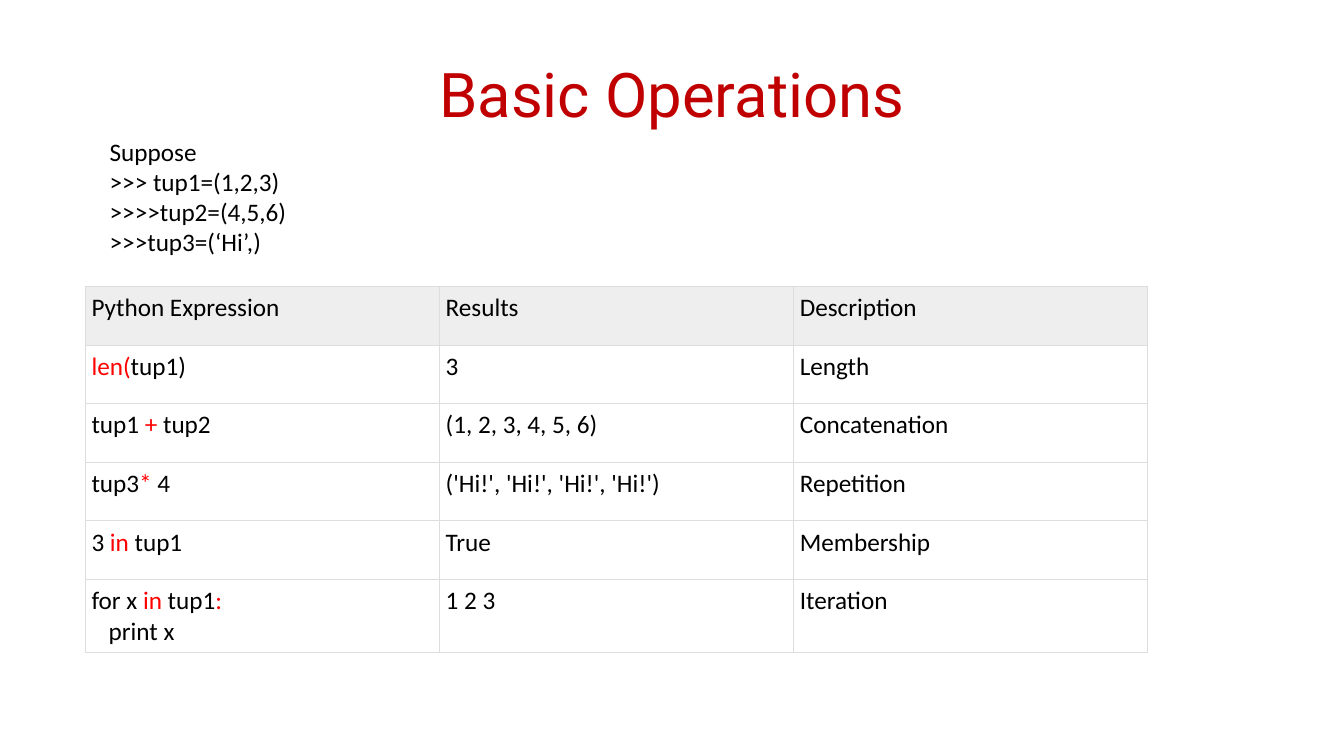
from lxml import etree
from pptx import Presentation
from pptx import util as u
from pptx.dml import color
from pptx.enum import text
from pptx.oxml import ns

COLORS = {
    "title": "C00000",
    "body": "000000",
    "keyword": "FF0000",
    "header": "EEEEEE",
    "border": "DDDDDD",
}

SETUP = ["Suppose", ">>> tup1=(1,2,3)", ">>>>tup2=(4,5,6)", ">>>tup3=(‘Hi’,)"]

OPERATIONS = [
    ("Python Expression", "Results", "Description"),
    ("|len(|tup1)", "3", "Length"),
    ("tup1 |+| tup2", "(1, 2, 3, 4, 5, 6)", "Concatenation"),
    ("tup3|*| 4", "('Hi!', 'Hi!', 'Hi!', 'Hi!')", "Repetition"),
    ("3 |in| tup1", "True", "Membership"),
    ("for x |in| tup1|:|\n\tprint x", "1 2 3", "Iteration"),
]


def rgb(name):
    return color.RGBColor.from_string(COLORS[name])


def write(frame, content, font="Calibri", size=18, ink="body", align=text.PP_ALIGN.LEFT):
    """Lines split at newlines; a leading tab indents; bars enclose keywords."""
    for index, line in enumerate(content.split("\n")):
        paragraph = frame.add_paragraph() if index else frame.paragraphs[0]
        paragraph.alignment = align
        if line.startswith("\t"):
            paragraph._p.get_or_add_pPr().set("marL", str(u.Pt(12.25)))
        for position, part in enumerate(line.lstrip("\t").split("|")):
            if part:
                run = paragraph.add_run()
                run.text = part
                run.font.name = font
                run.font.size = u.Pt(size)
                run.font.color.rgb = rgb("keyword" if position % 2 else ink)


class SlideBuilder:
    def __init__(self, presentation):
        self.slide = presentation.slides.add_slide(presentation.slide_layouts[6])
        self.border_width = 0.5
        self.cell_margin = 4.5

    def add_text(self, bounds, content, anchor=text.MSO_ANCHOR.TOP, **style):
        shape = self.slide.shapes.add_textbox(*map(u.Pt, bounds))
        frame = shape.text_frame
        frame.word_wrap = True
        frame.vertical_anchor = anchor
        write(frame, content, **style)

    def add_table(self, bounds, rows, row_heights):
        shape = self.slide.shapes.add_table(len(rows), len(rows[0]), *map(u.Pt, bounds))
        table = shape.table
        table.first_row = table.horz_banding = False
        for row, height in zip(table.rows, row_heights):
            row.height = u.Pt(height)
        for row_index, values in enumerate(rows):
            for column_index, value in enumerate(values):
                self.fill_cell(table.cell(row_index, column_index), value, row_index == 0)

    def fill_cell(self, cell, content, is_header):
        margin = u.Pt(self.cell_margin)
        cell.margin_left = cell.margin_right = margin
        cell.margin_top = cell.margin_bottom = margin
        self.add_borders(cell)
        if is_header:
            cell.fill.solid()
            cell.fill.fore_color.rgb = rgb("header")
        else:
            cell.fill.background()
        write(cell.text_frame, content)

    def add_borders(self, cell):
        properties = cell._tc.get_or_add_tcPr()
        for side in ("a:lnL", "a:lnR", "a:lnT", "a:lnB"):
            line = etree.SubElement(properties, ns.qn(side), w=str(u.Pt(self.border_width)))
            fill = etree.SubElement(line, ns.qn("a:solidFill"))
            etree.SubElement(fill, ns.qn("a:srgbClr"), val=COLORS["border"])


def main():
    presentation = Presentation()
    presentation.slide_width = u.Pt(960)
    presentation.slide_height = u.Pt(540)
    builder = SlideBuilder(presentation)
    builder.add_text(
        (48, 21.6, 864, 90),
        "Basic Operations",
        anchor=text.MSO_ANCHOR.MIDDLE,
        font="Roboto",
        size=44,
        ink="title",
        align=text.PP_ALIGN.CENTER,
    )
    builder.add_text((71.3, 93.6, 471, 116.6), "\n".join(SETUP))
    builder.add_table((60.9, 204.6, 759, 261), OPERATIONS, [41.85] * 5 + [51.75])
    presentation.save("out.pptx")


if __name__ == "__main__":
    main()
